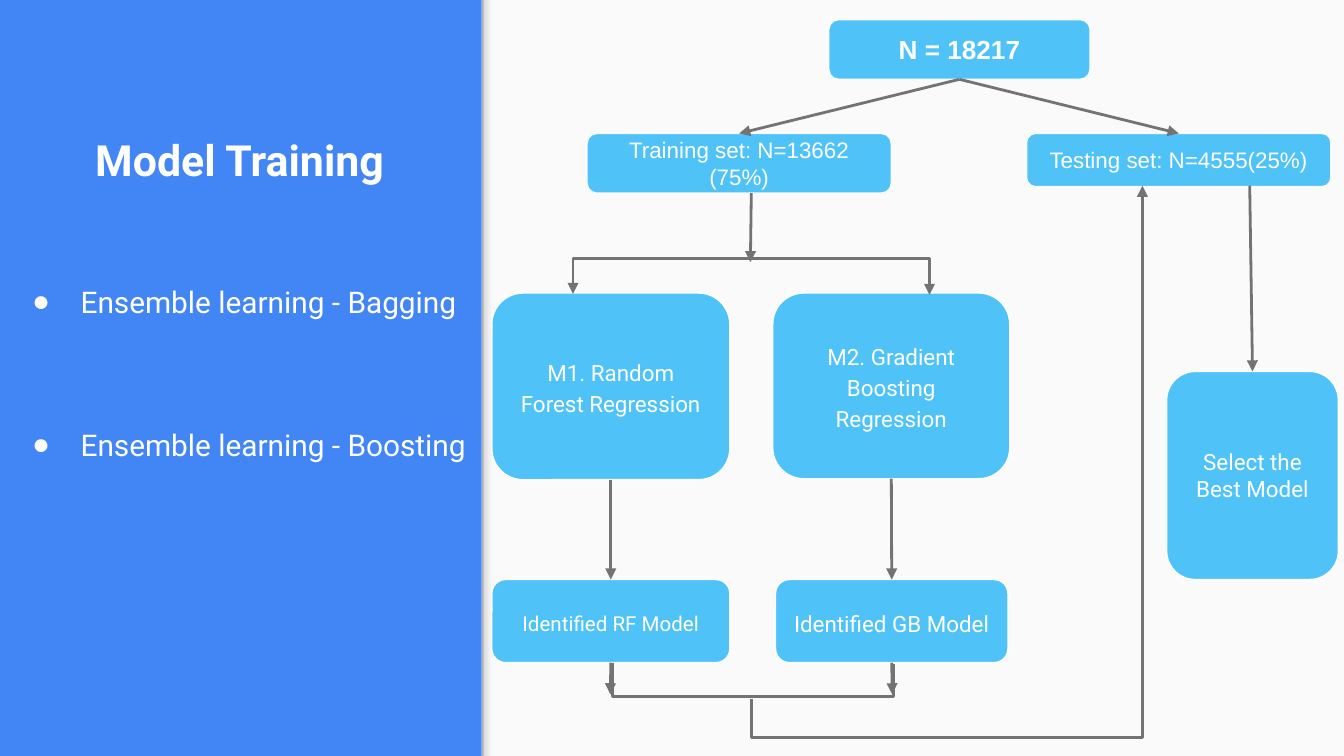
from copy import deepcopy

from lxml.etree import SubElement
from pptx import Presentation
from pptx.dml.color import RGBColor
from pptx.enum.shapes import MSO_CONNECTOR as Link, MSO_SHAPE as Shape
from pptx.enum.text import MSO_ANCHOR as Anchor, MSO_AUTO_SIZE as AutoSize, PP_ALIGN as Align
from pptx.oxml.ns import qn
from pptx.util import Pt

TOP, BOTTOM = 0, 2


def color(value):
    return RGBColor.from_string(value)


class FlowSlide:
    BLUE, BOX, PAPER, WHITE, GREY = "4285F4", "4FC3F7", "FAFAFA", "FFFFFF", "737373"
    INSET = 7.2

    def __init__(self, slide):
        self.slide = slide
        slide.background.fill.solid()
        slide.background.fill.fore_color.rgb = color(self.BLUE)

    def place(self, shape, left, top, width, height):
        shape.left, shape.top = Pt(left), Pt(top)
        shape.width, shape.height = Pt(width), Pt(height)

    def frame(self, shape, anchor, bottom=INSET):
        text = shape.text_frame
        text.word_wrap, text.auto_size = True, AutoSize.NONE
        text.vertical_anchor = anchor
        text.margin_left = text.margin_right = text.margin_top = Pt(self.INSET)
        text.margin_bottom = Pt(bottom)
        return text

    def style(self, paragraph, size, font="Roboto", bold=False, spacing=1.15, align=Align.CENTER):
        paragraph.alignment, paragraph.line_spacing = align, spacing
        paragraph.space_before = Pt(0)
        paragraph.font.name, paragraph.font.size = font, Pt(size)
        paragraph.font.bold = bold
        paragraph.font.color.rgb = color(self.WHITE)

    def panel(self, left, top, width, height):
        sheet = self.slide.shapes.add_shape(
            Shape.RECTANGLE, Pt(left), Pt(top), Pt(width), Pt(height))
        sheet.shadow.inherit = False
        sheet.fill.solid()
        sheet.fill.fore_color.rgb = color(self.PAPER)
        sheet.line.fill.background()
        return sheet

    def edge_shade(self, left, top, width, height, stops):
        """Strip that fades from left to right through (position, colour) stops."""
        strip = self.panel(left, top, width, height)
        strip.fill.gradient()
        strip.fill.gradient_angle = 0
        stop_list = strip._element.spPr.find(".//" + qn("a:gsLst"))
        for _ in range(len(stops) - len(stop_list)):
            stop_list.append(deepcopy(stop_list[0]))
        for stop, (position, shade) in zip(strip.fill.gradient_stops, stops):
            stop.position, stop.color.rgb = position, color(shade)

    def title(self, words, left, top, width, height, bottom):
        heading = self.slide.shapes.title
        self.place(heading, left, top, width, height)
        text = self.frame(heading, Anchor.BOTTOM, bottom)
        text.text = words
        self.style(text.paragraphs[0], 23, bold=True)

    def bullets(self, items, left, top, width, height, gap):
        body = self.slide.placeholders[1]
        self.place(body, left, top, width, height)
        text = self.frame(body, Anchor.TOP)
        text.text = "\n".join(items)
        for number, paragraph in enumerate(text.paragraphs):
            layout = paragraph._p.get_or_add_pPr()
            layout.set("marL", str(Pt(36)))
            layout.set("indent", str(Pt(-26)))
            SubElement(SubElement(layout, qn("a:buClr")), qn("a:srgbClr")).set("val", self.WHITE)
            SubElement(layout, qn("a:buChar")).set("char", "●")
            self.style(paragraph, 16, align=Align.LEFT)
            if number:
                paragraph.space_before = Pt(gap)

    def box(self, words, left, top, width, height, size=12, outline=WHITE, **look):
        step = self.slide.shapes.add_shape(
            Shape.ROUNDED_RECTANGLE, Pt(left), Pt(top), Pt(width), Pt(height))
        step.shadow.inherit = False
        step.fill.solid()
        step.fill.fore_color.rgb = color(self.BOX)
        step.line.color.rgb = color(outline)
        step.line.width = Pt(0.75)
        text = self.frame(step, Anchor.MIDDLE)
        text.text = words
        self.style(text.paragraphs[0], size, **look)
        return step

    def ink(self, line, head, tail):
        line.line.color.rgb = color(self.GREY)
        line.line.width = Pt(1.5)
        stroke = line.line._get_or_add_ln()
        for tag, wanted in (("a:headEnd", head), ("a:tailEnd", tail)):
            if wanted:
                SubElement(stroke, qn(tag)).set("type", "triangle")
        SubElement(line._element.spPr, qn("a:effectLst"))

    def arrow(self, start, end, source=None, target=None):
        """Straight arrow; source leaves from its bottom, target is entered at its top."""
        line = self.slide.shapes.add_connector(Link.STRAIGHT, *map(Pt, start + end))
        if source is not None:
            line.begin_connect(source, BOTTOM)
        if target is not None:
            line.end_connect(target, TOP)
        self.ink(line, False, True)

    def bracket(self, start, end, level, head=False, tail=False):
        """Elbow that runs from start to end along the height given by level."""
        (x0, y0), (x1, y1) = start, end
        drop, span = y1 - y0, abs(x1 - x0)
        left, top = (x0 + x1 - drop) / 2, (y0 + y1 - span) / 2
        line = self.slide.shapes.add_connector(
            Link.ELBOW, Pt(left), Pt(top), Pt(left + drop), Pt(top + span))
        turn = line._element.spPr.find(qn("a:xfrm"))
        turn.set("rot", str((270 if x1 > x0 else 90) * 60000))
        if x1 > x0:
            turn.set("flipH", "1")
        guide = SubElement(line._element.spPr.find(".//" + qn("a:avLst")), qn("a:gd"))
        guide.set("name", "adj1")
        guide.set("fmla", f"val {round((level - y0) / drop * 100000)}")
        self.ink(line, head, tail)


def main():
    deck = Presentation()
    deck.slide_width, deck.slide_height = Pt(720), Pt(405)
    flow = FlowSlide(deck.slides.add_slide(deck.slide_layouts[1]))

    flow.panel(258, 0, 462, 405)
    flow.edge_shade(258, 0, 8.5, 405,
                    [(0, "999999"), (0.2, "DEDEDE"), (0.64, "F9F9F9"), (1, "F9F9F9")])
    flow.title("Model Training", 10, 13, 237, 136, bottom=50)
    flow.bullets(["Ensemble learning - Bagging", "Ensemble learning - Boosting"],
                 0, 142, 258.5, 197, gap=54.5)

    arial = {"font": "Arial", "spacing": 1}
    total = flow.box("N = 18217", 444, 10.5, 140, 32, size=14, bold=True, **arial)
    training = flow.box("Training set: N=13662 (75%)", 314.5, 71.5, 163, 32,
                        outline=flow.PAPER, **arial)
    testing = flow.box("Testing set: N=4555(25%)", 550, 71.5, 163, 28.5,
                       outline=flow.PAPER, **arial)
    forest = flow.box("M1. Random Forest Regression", 263.5, 157, 127.5, 100)
    boosting = flow.box("M2. Gradient Boosting Regression", 414, 157, 127, 99.5)
    forest_model = flow.box("Identified RF Model", 263.5, 310.5, 127.5, 44.5, size=11)
    boosting_model = flow.box("Identified GB Model", 415.5, 310.5, 124.5, 44.5)
    best = flow.box("Select the Best Model", 625, 199, 92, 111.5, spacing=1)

    for subset in (training, testing):
        flow.arrow((514, 42.5), (514, 71.5), total, subset)
    flow.arrow((402.5, 103.5), (402, 140.5))
    flow.bracket((307, 157.5), (498, 158), 139, head=True, tail=True)
    flow.arrow((327, 257), (327, 310.5), forest, forest_model)
    flow.arrow((477.5, 256.5), (478, 310.5), boosting, boosting_model)
    flow.bracket((328, 355), (478.5, 355.5), 373)
    flow.arrow((327, 355), (327, 372), forest_model)
    flow.arrow((478, 355), (478, 372), boosting_model)
    flow.bracket((612, 99.5), (402.5, 374.5), 395, head=True)
    flow.arrow((669.5, 99.5), (671, 199), target=best)

    deck.save("out.pptx")


if __name__ == "__main__":
    main()
